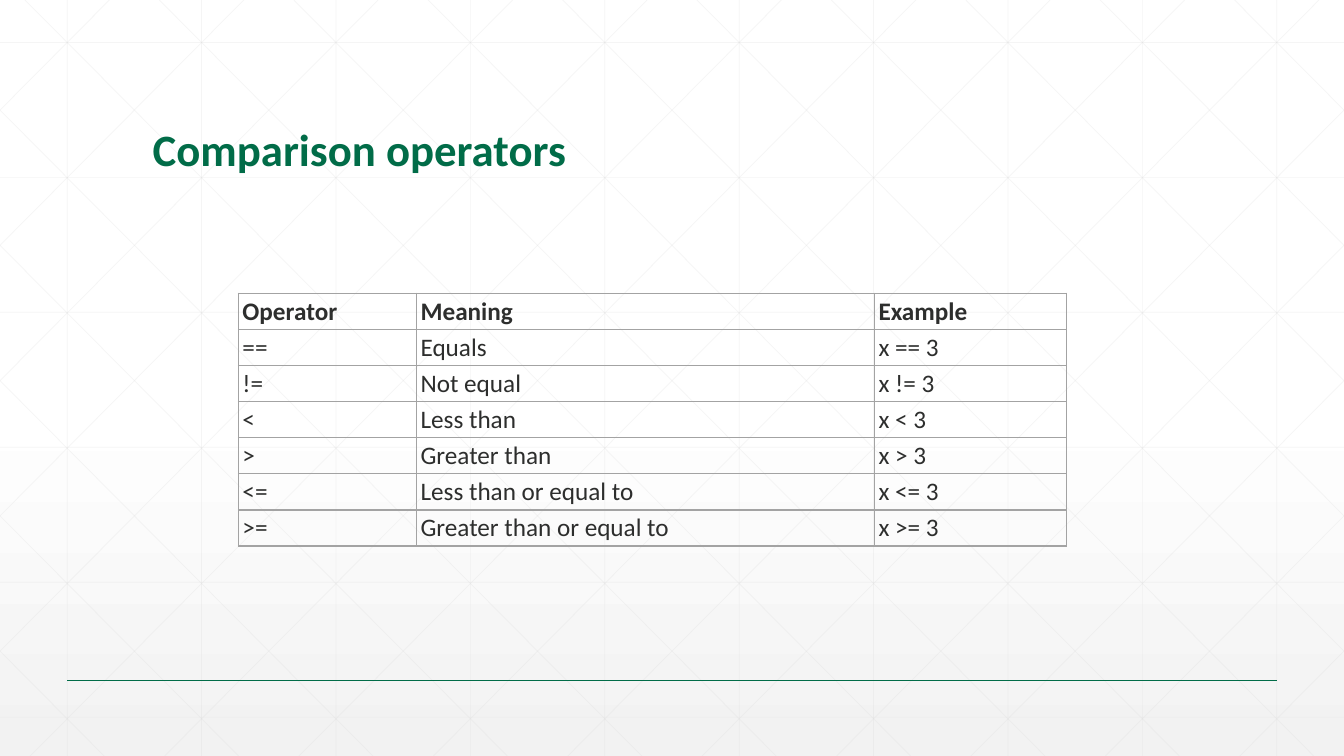
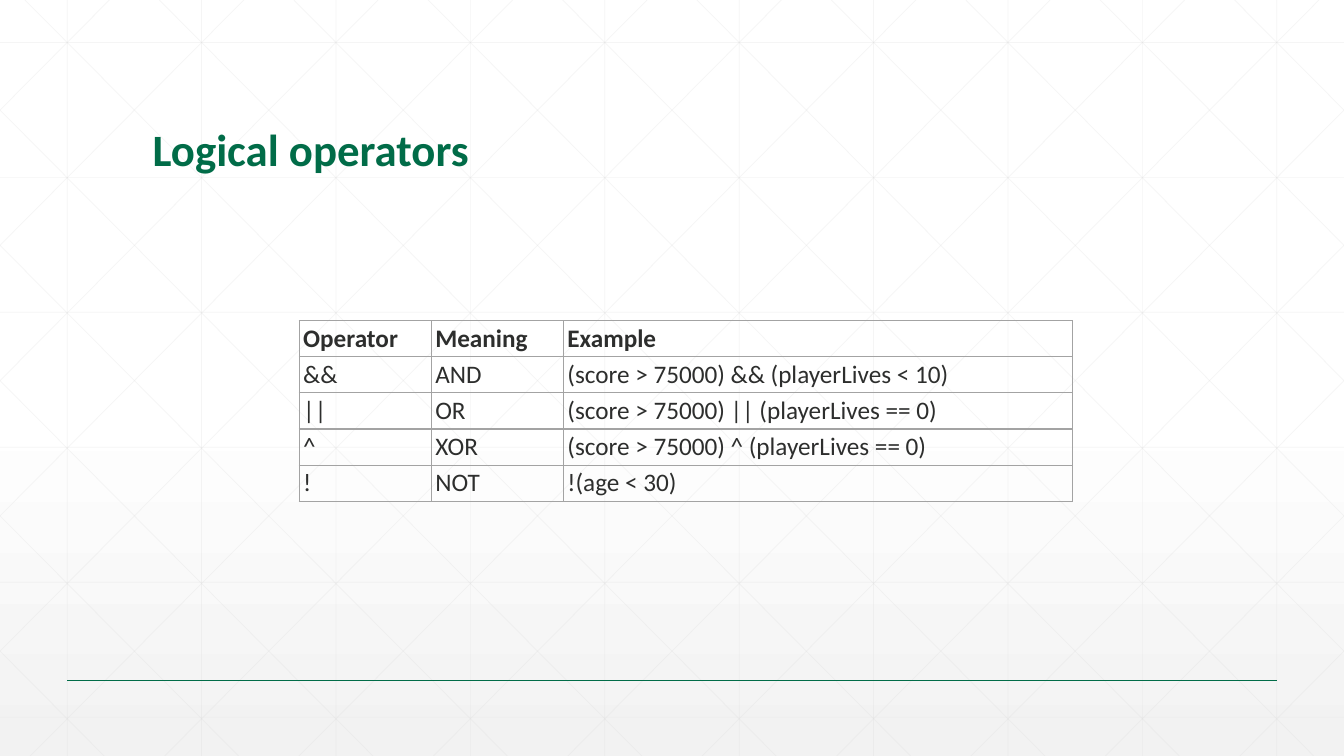
from dataclasses import dataclass

from lxml.etree import SubElement
from pptx import Presentation
from pptx.dml.color import RGBColor
from pptx.enum.shapes import MSO_CONNECTOR
from pptx.enum.text import MSO_ANCHOR
from pptx.oxml.ns import qn
from pptx.util import Cm, Pt

COLORS = {
    "white": "FFFFFF",
    "shade": "F2F2F2",
    "lattice": "D9D9D9",
    "green": "016C48",
    "text": "2D2E2D",
    "border": "A3A3A3",
}
FONT = "Calibri"

# Lengths in centimetres
WIDTH, HEIGHT = 33.87, 19.05
STEP = WIDTH / 10        # distance between vertical and between diagonal lines
ROW_STEP = 3.4           # distance between horizontal lines
FIRST_ROW = 1.07
FIRST_DIAGONAL = 0.63
DIAGONAL_RUN = 18.93     # sideways travel of a full-height diagonal
ROW_HEIGHT = 0.91


@dataclass
class OperatorSlide:
    title: str
    left: float
    top: float
    columns: list[float]
    rows: list[list[str]]


SLIDES = [
    OperatorSlide("Comparison operators", 6.01, 7.39, [4.49, 11.54, 4.83], [
        ["Operator", "Meaning", "Example"],
        ["==", "Equals", "x == 3"],
        ["!=", "Not equal", "x != 3"],
        ["<", "Less than", "x < 3"],
        [">", "Greater than", "x > 3"],
        ["<=", "Less than or equal to", "x <= 3"],
        [">=", "Greater than or equal to", "x >= 3"],
    ]),
    OperatorSlide("Logical operators", 7.54, 8.08, [3.33, 3.33, 12.83], [
        ["Operator", "Meaning", "Example"],
        ["&&", "AND", "(score > 75000) && (playerLives < 10)"],
        ["||", "OR", "(score > 75000) || (playerLives == 0)"],
        ["^", "XOR", "(score > 75000) ^ (playerLives == 0)"],
        ["!", "NOT", "!(age < 30)"],
    ]),
]


def rgb(name: str) -> RGBColor:
    return RGBColor.from_string(COLORS[name])


def style_runs(p, size: float, color: str, bold: bool) -> None:
    for r in p.runs:
        r.font.name = FONT
        r.font.size = Pt(size)
        r.font.bold = bold
        r.font.color.rgb = rgb(color)


def add_line(shapes, x1: float, y1: float, x2: float, y2: float,
             color: str, width: float, opacity: int = 100) -> None:
    line = shapes.add_connector(MSO_CONNECTOR.STRAIGHT, Cm(x1), Cm(y1), Cm(x2), Cm(y2))
    line.line.color.rgb = rgb(color)
    line.line.width = Pt(width)
    sp_pr = line.element.spPr
    if opacity < 100:
        clr = sp_pr.find(".//" + qn("a:srgbClr"))
        SubElement(clr, qn("a:alpha"), val=str(opacity * 1000))
    SubElement(sp_pr, qn("a:effectLst"))


def lattice_lines() -> list[tuple[float, float, float, float]]:
    lines = [((i + 0.5) * STEP, 0, (i + 0.5) * STEP, HEIGHT) for i in range(10)]
    for i in range(6):
        y = FIRST_ROW + i * ROW_STEP
        lines.append((0, y, WIDTH, y))
    # Diagonals are cut at the slide edges, then mirrored
    slope = HEIGHT / DIAGONAL_RUN
    for i in range(-5, 10):
        x = FIRST_DIAGONAL + i * STEP
        x1, x2 = max(x, 0), min(x + DIAGONAL_RUN, WIDTH)
        y1, y2 = (x1 - x) * slope, (x2 - x) * slope
        lines += [(x1, y1, x2, y2), (WIDTH - x1, y1, WIDTH - x2, y2)]
    return lines


def add_backdrop(s) -> None:
    fill = s.background.fill
    fill.gradient()
    fill.gradient_angle = 270
    for stop, position, color in zip(fill.gradient_stops, (0.53, 1), ("white", "shade")):
        stop.position = position
        stop.color.rgb = rgb(color)
    lattice = s.shapes.add_group_shape()
    for ends in lattice_lines():
        add_line(lattice.shapes, *ends, "lattice", 0.5, 25)
    add_line(s.shapes, STEP / 2, 17.15, WIDTH - STEP / 2, 17.15, "green", 1)


def add_title(s, title: str) -> None:
    tf = s.shapes.add_textbox(Cm(3.6), Cm(1.4), Cm(26.67), Cm(3.17)).text_frame
    tf.word_wrap = True
    tf.vertical_anchor = MSO_ANCHOR.BOTTOM
    p = tf.paragraphs[0]
    p.text = title
    p.line_spacing = 0.9
    style_runs(p, 32, "green", True)


def style_cell(cell, bold: bool) -> None:
    cell.margin_left = cell.margin_right = Cm(0.1)
    cell.margin_top = cell.margin_bottom = Cm(0.07)
    cell.vertical_anchor = MSO_ANCHOR.MIDDLE
    tc_pr = cell._tc.get_or_add_tcPr()
    for side in ("L", "R", "T", "B"):
        ln = SubElement(tc_pr, qn(f"a:ln{side}"), w=str(Pt(1)))
        solid = SubElement(ln, qn("a:solidFill"))
        SubElement(solid, qn("a:srgbClr"), val=COLORS["border"])
    cell.fill.background()
    style_runs(cell.text_frame.paragraphs[0], 18, "text", bold)


def add_operator_table(s, spec: OperatorSlide) -> None:
    table = s.shapes.add_table(
        len(spec.rows), len(spec.columns), Cm(spec.left), Cm(spec.top),
        Cm(sum(spec.columns)), Cm(ROW_HEIGHT * len(spec.rows))).table
    table.horz_banding = False
    for column, width in zip(table.columns, spec.columns):
        column.width = Cm(width)
    for i, texts in enumerate(spec.rows):
        table.rows[i].height = Cm(ROW_HEIGHT)
        for j, text in enumerate(texts):
            cell = table.cell(i, j)
            cell.text_frame.text = text
            style_cell(cell, bold=i == 0)


def main() -> None:
    prs = Presentation()
    prs.slide_width, prs.slide_height = Cm(WIDTH), Cm(HEIGHT)
    for spec in SLIDES:
        s = prs.slides.add_slide(prs.slide_layouts[6])
        add_backdrop(s)
        add_title(s, spec.title)
        add_operator_table(s, spec)
    prs.save("out.pptx")


if __name__ == "__main__":
    main()
